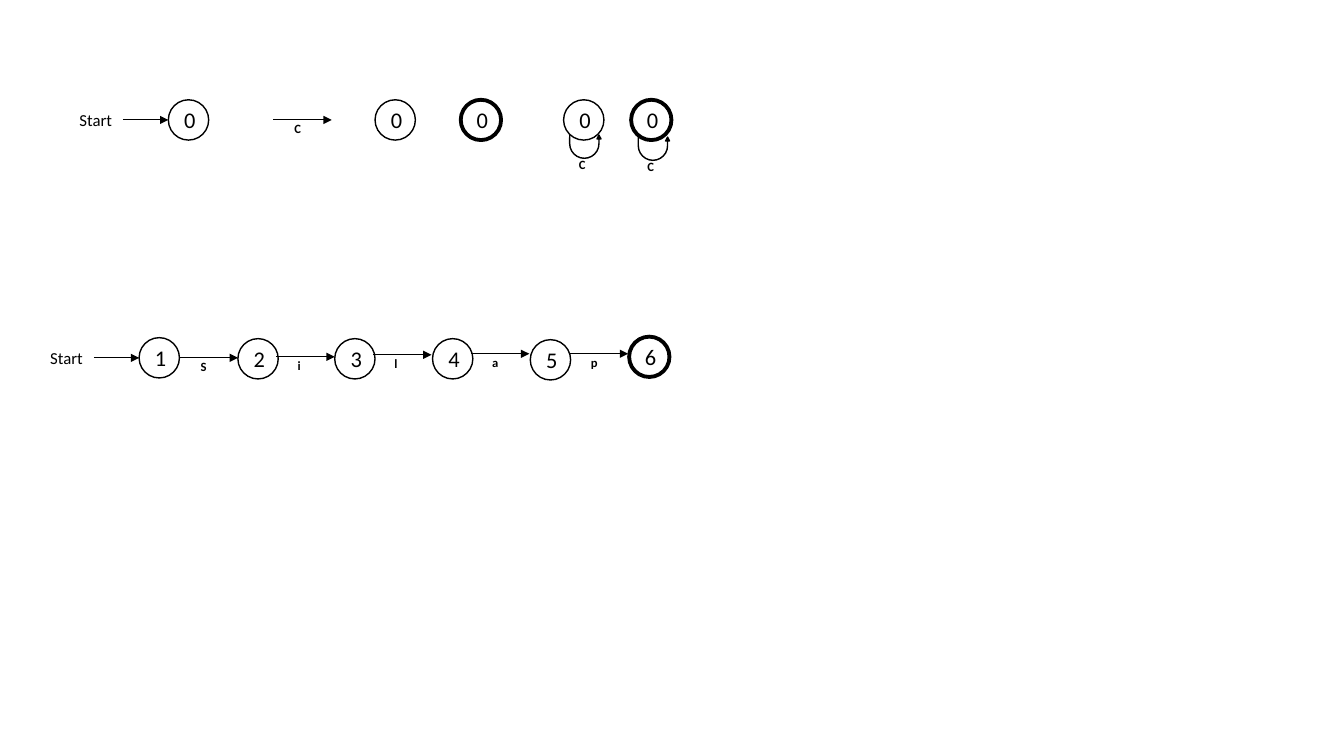
from dataclasses import dataclass
from typing import NamedTuple

from lxml.etree import SubElement
from pptx import Presentation
from pptx.dml.color import RGBColor
from pptx.enum.shapes import MSO_CONNECTOR, MSO_SHAPE
from pptx.enum.text import MSO_ANCHOR, MSO_AUTO_SIZE, PP_ALIGN
from pptx.oxml.ns import qn
from pptx.shapes.shapetree import _BaseGroupShapes as Shapes
from pptx.text.text import TextFrame
from pptx.util import Inches, Pt


@dataclass(frozen=True)
class Theme:
    font: str = "Calibri"
    ink: RGBColor = RGBColor(0, 0, 0)
    start_size: float = 12
    state_size: float = 16
    symbol_size: float = 9
    arrow_line: float = 0.75
    state_line: float = 1
    final_line: float = 2.75


class State(NamedTuple):
    name: str
    x: float
    y: float
    final: bool = False


class Transition(NamedTuple):
    symbol: str
    x: float
    y: float


THEME = Theme()
DIAMETER = 0.4
START_LENGTH = 0.45
TRANSITION_LENGTH = 0.58

LEGEND_Y = 0.99
LEGEND_START = State("0", 1.67, LEGEND_Y)
LEGEND_TRANSITION = Transition("C", 2.71, 1.19)
LEGEND_STATES = [State("0", 3.72, LEGEND_Y), State("0", 4.57, LEGEND_Y, True)]
LEGEND_LOOPS = [
    (State("0", 5.59, LEGEND_Y), Transition("C", 5.65, 1.34)),
    (State("0", 6.26, LEGEND_Y, True), Transition("C", 6.33, 1.36)),
]

WORD_START = State("1", 1.38, 3.35)
WORD_STEPS = [
    (Transition("S", 1.78, 3.55), State("2", 2.36, 3.36)),
    (Transition("i", 2.74, 3.54), State("3", 3.32, 3.36)),
    (Transition("l", 3.7, 3.52), State("4", 4.29, 3.36)),
    (Transition("a", 4.67, 3.51), State("5", 5.26, 3.37)),
    (Transition("p", 5.65, 3.51), State("6", 6.24, 3.34, True)),
]


def write(frame: TextFrame, text: str, size: float, bold: bool = False) -> None:
    frame.text = text
    font = frame.paragraphs[0].runs[0].font
    font.name = THEME.font
    font.size = Pt(size)
    font.bold = bold
    font.color.rgb = THEME.ink


def draw_label(shapes: Shapes, text: str, x: float, y: float,
               width: float, height: float, size: float, bold: bool = False) -> None:
    label = shapes.add_textbox(Inches(x), Inches(y), Inches(width), Inches(height))
    label.text_frame.word_wrap = False
    label.text_frame.auto_size = MSO_AUTO_SIZE.SHAPE_TO_FIT_TEXT
    write(label.text_frame, text, size, bold)


def draw_symbol(shapes: Shapes, symbol: str, x: float, y: float) -> None:
    draw_label(shapes, symbol, x, y, 0.16, 0.25, THEME.symbol_size, True)


def draw_arrow(shapes: Shapes, x: float, y: float, length: float) -> None:
    arrow = shapes.add_connector(MSO_CONNECTOR.STRAIGHT, Inches(x), Inches(y),
                                 Inches(x + length), Inches(y))
    arrow.line.color.rgb = THEME.ink
    arrow.line.width = Pt(THEME.arrow_line)
    SubElement(arrow.line._get_or_add_ln(), qn("a:tailEnd"), type="triangle")
    SubElement(arrow._element.spPr, qn("a:effectLst"))


def draw_state(shapes: Shapes, state: State) -> None:
    circle = shapes.add_shape(MSO_SHAPE.OVAL, Inches(state.x), Inches(state.y),
                              Inches(DIAMETER), Inches(DIAMETER))
    circle.shadow.inherit = False
    circle.fill.background()
    circle.line.color.rgb = THEME.ink
    circle.line.width = Pt(THEME.final_line if state.final else THEME.state_line)
    circle.text_frame.vertical_anchor = MSO_ANCHOR.MIDDLE
    write(circle.text_frame, state.name, THEME.state_size)
    circle.text_frame.paragraphs[0].alignment = PP_ALIGN.CENTER


def draw_start(shapes: Shapes, state: State) -> None:
    """Draw the start word, its arrow and the state it leads to."""
    group = shapes.add_group_shape().shapes
    x, y = state.x - START_LENGTH, state.y + DIAMETER / 2
    draw_label(group, "Start", x - 0.53, y - 0.15, 0.53, 0.3, THEME.start_size)
    draw_arrow(group, x, y, START_LENGTH)
    draw_state(group, state)


def draw_transition(shapes: Shapes, step: Transition) -> None:
    group = shapes.add_group_shape().shapes
    draw_arrow(group, step.x, step.y, TRANSITION_LENGTH)
    draw_symbol(group, step.symbol, step.x + 0.15, step.y - 0.04)


def draw_loop(shapes: Shapes, state: State, step: Transition) -> None:
    """Draw a state with an arrow below it that returns to the same state."""
    group = shapes.add_group_shape().shapes
    draw_state(group, state)
    loop = group.add_shape(MSO_SHAPE.U_TURN_ARROW, Inches(step.x), Inches(step.y),
                           Inches(0.31), Inches(0.23))
    for index, value in enumerate((0, 0.085, 0.164, 0.717, 1)):
        loop.adjustments[index] = value
    loop.rotation = 180
    loop._element.spPr.xfrm.set("flipH", "1")
    loop.shadow.inherit = False
    loop.fill.solid()
    loop.fill.fore_color.rgb = THEME.ink
    loop.line.color.rgb = THEME.ink
    loop.line.width = Pt(THEME.state_line)
    draw_symbol(group, step.symbol, step.x + 0.03, step.y + 0.17)


def main() -> None:
    deck = Presentation()
    deck.slide_width, deck.slide_height = Inches(13.33), Inches(7.5)
    shapes = deck.slides.add_slide(deck.slide_layouts[6]).shapes

    draw_start(shapes, LEGEND_START)
    draw_transition(shapes, LEGEND_TRANSITION)
    for state in LEGEND_STATES:
        draw_state(shapes, state)
    for state, step in LEGEND_LOOPS:
        draw_loop(shapes, state, step)

    draw_start(shapes, WORD_START)
    for step, state in WORD_STEPS:
        draw_transition(shapes, step)
        draw_state(shapes, state)

    deck.save("out.pptx")


if __name__ == "__main__":
    main()
